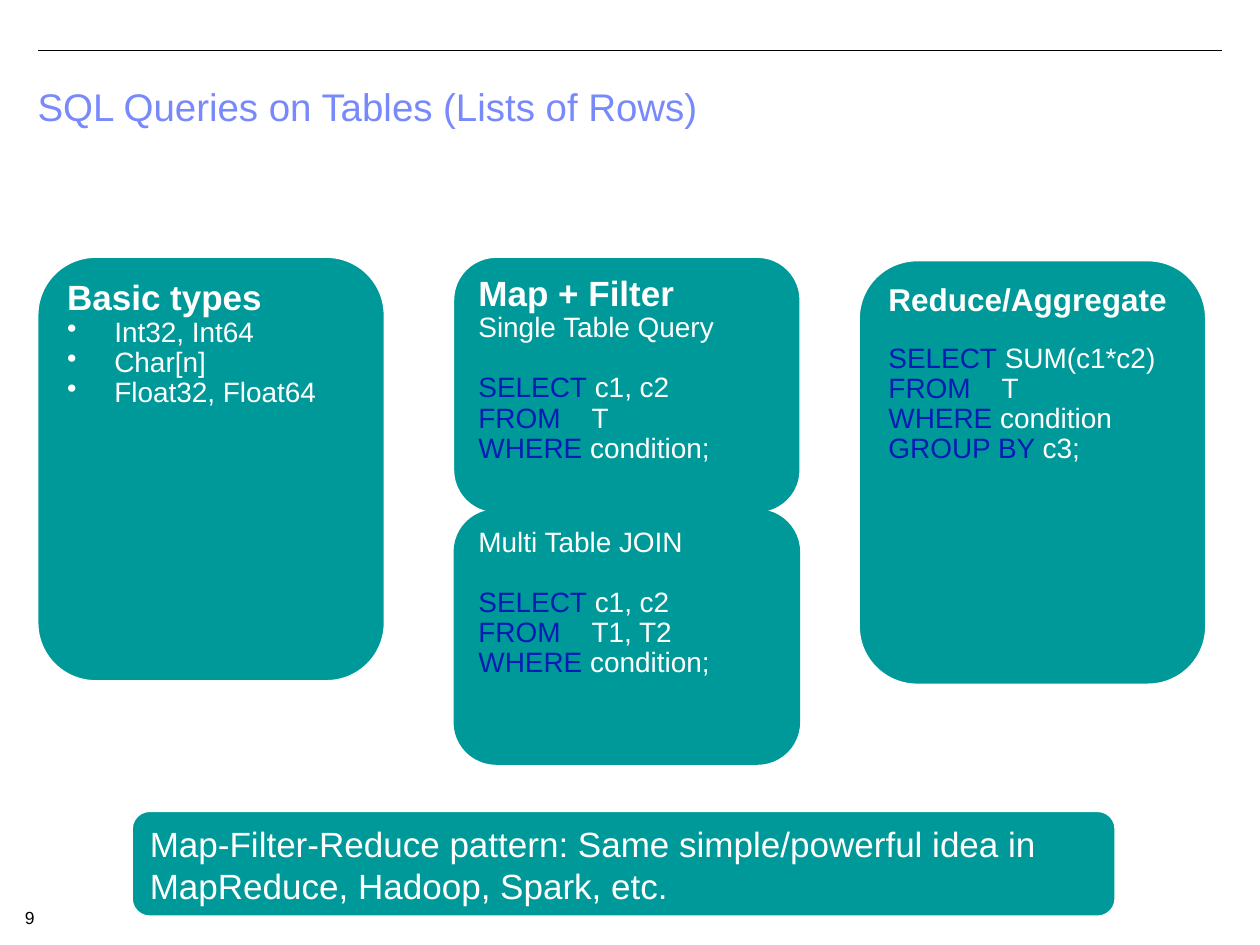
from lxml import etree
from pptx import Presentation
from pptx.dml.color import RGBColor
from pptx.enum import shapes, text
from pptx.oxml.ns import qn
from pptx.util import Pt

TEAL = RGBColor(0x00, 0x99, 0x99)
WHITE = RGBColor(0xFF, 0xFF, 0xFF)
BLACK = RGBColor(0x00, 0x00, 0x00)
KEYWORD = RGBColor(0x05, 0x1C, 0xB4)
TITLE = RGBColor(0x78, 0x89, 0xFB)

BULLET_INDENT = Pt(27)
TAB_STOP = Pt(64.6)
CARD_WIDTH = 198
TALL, SHORT = 242, 146


def add_line(frame, runs, size, bold=False, spacing=0.9, before=0, bullet=False):
    """Add one paragraph; runs is a list of (words, colour)."""
    first = frame.paragraphs[0]
    paragraph = frame.add_paragraph() if first.runs else first
    properties = paragraph._p.get_or_add_pPr()
    if bullet:
        properties.set("marL", str(BULLET_INDENT))
        properties.set("indent", str(-BULLET_INDENT))
        etree.SubElement(properties, qn("a:buChar"), char="•")
    if any("\t" in words for words, _ in runs):
        tabs = etree.SubElement(properties, qn("a:tabLst"))
        etree.SubElement(tabs, qn("a:tab"), pos=str(TAB_STOP), algn="l")
    paragraph.alignment = text.PP_ALIGN.LEFT
    paragraph.line_spacing = spacing
    if before:
        paragraph.space_before = Pt(before)
    for words, colour in runs:
        run = paragraph.add_run()
        run.text = words
        run.font.name = "Arial"
        run.font.size = Pt(size)
        run.font.bold = bold
        run.font.color.rgb = colour


def add_card(left, top, width, height, outlined=True):
    card = slide.shapes.add_shape(shapes.MSO_SHAPE.ROUNDED_RECTANGLE,
                                  Pt(left), Pt(top), Pt(width), Pt(height))
    card.shadow.inherit = False
    card.fill.solid()
    card.fill.fore_color.rgb = TEAL
    if outlined:
        card.line.color.rgb = WHITE
        card.line.width = Pt(0.75)
    else:
        card.line.fill.background()
    card.text_frame.word_wrap = True
    card.text_frame.vertical_anchor = text.MSO_ANCHOR.TOP
    return card.text_frame


presentation = Presentation()
presentation.slide_width, presentation.slide_height = Pt(720), Pt(540)
slide = presentation.slides.add_slide(presentation.slide_layouts[6])

rule = slide.shapes.add_connector(shapes.MSO_CONNECTOR.STRAIGHT,
                                  Pt(21.6), Pt(28.8), Pt(698.4), Pt(28.8))
rule.line.color.rgb = BLACK
rule.line.width = Pt(0.75)
etree.SubElement(rule._element.spPr, qn("a:effectLst"))

# Title and page number
for words, box, size, colour, spacing in [
    ("SQL Queries on Tables (Lists of Rows)", (14.4, 46.8, 684, 36), 22, TITLE, 0.9),
    ("9", (7.2, 514.8, 28.8, 14.4), 10, BLACK, 1.0),
]:
    frame = slide.shapes.add_textbox(*map(Pt, box)).text_frame
    frame.word_wrap = True
    add_line(frame, [(words, colour)], size, spacing=spacing)

basic_types = add_card(21.6, 147, CARD_WIDTH, TALL)
add_line(basic_types, [("Basic types", WHITE)], 20, bold=True)
for type_names in ["Int32, Int64", "Char[n]", "Float32, Float64"]:
    add_line(basic_types, [(type_names, WHITE)], 16, bullet=True)

# Query cards: box, outline, headings (words, size, bold), gap, query clauses
queries = [
    ((259.2, 147, CARD_WIDTH, SHORT), True,
     [("Map + Filter", 20, True), ("Single Table Query", 16, False)], 17,
     [("SELECT", " c1, c2"), ("FROM", "\tT"), ("WHERE", " condition;")]),
    ((491, 149, CARD_WIDTH, TALL), True,
     [("Reduce/Aggregate", 18, True)], 15,
     [("SELECT", " SUM(c1*c2)"), ("FROM", "\tT"), ("WHERE", " condition"),
      ("GROUP BY ", "c3;")]),
    ((259.2, 291, CARD_WIDTH, SHORT), False,
     [("Multi Table JOIN", 16, False)], 17,
     [("SELECT", " c1, c2"), ("FROM", "\tT1, T2"), ("WHERE", " condition;")]),
]
for box, outlined, headings, gap, clauses in queries:
    frame = add_card(*box, outlined)
    for words, size, bold in headings:
        add_line(frame, [(words, WHITE)], size, bold)
    for index, (keyword, operand) in enumerate(clauses):
        add_line(frame, [(keyword, KEYWORD), (operand, WHITE)], 16,
                 before=0 if index else gap)

summary = add_card(75.6, 463.7, 561.6, 59.8)
add_line(summary, [("Map-Filter-Reduce pattern: Same simple/powerful idea in "
                    "MapReduce, Hadoop, Spark, etc.", WHITE)], 20, spacing=1.0)

presentation.save("out.pptx")
